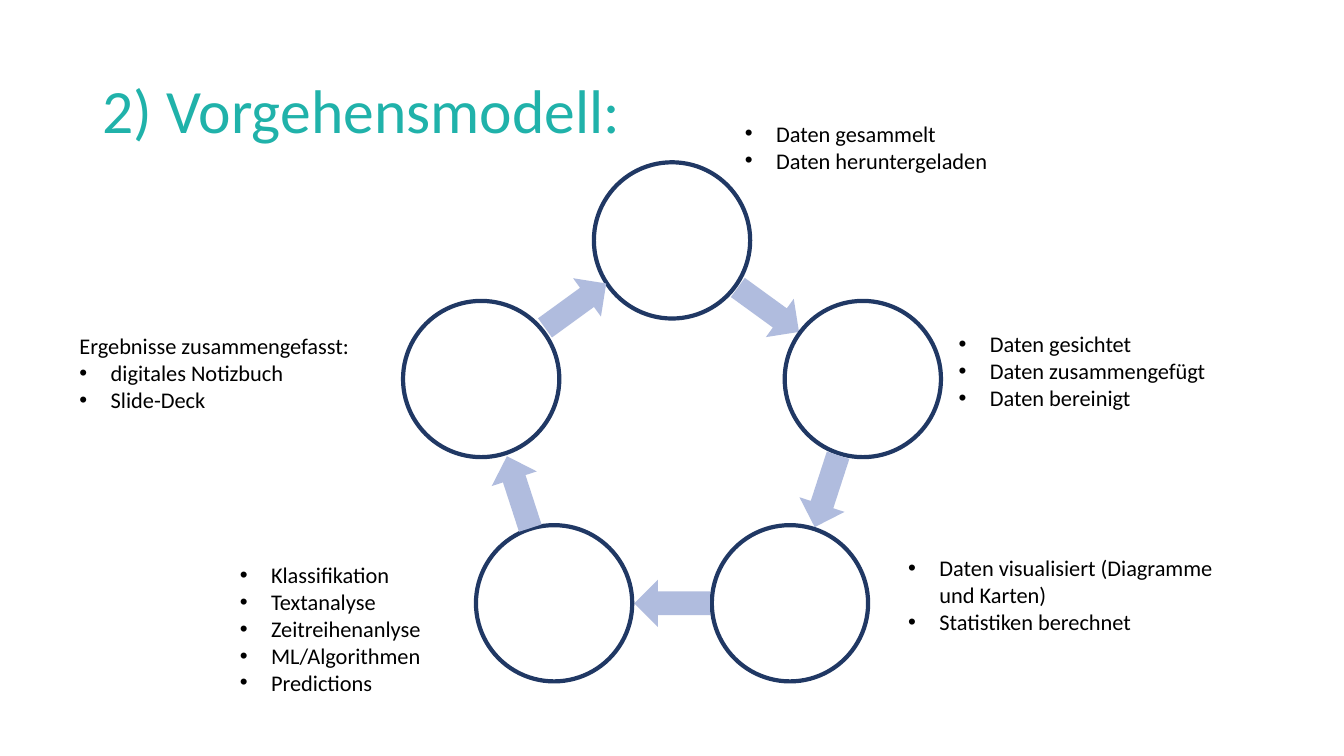
from math import cos, pi, sin

from lxml import etree
from pptx import Presentation
from pptx.dml.color import RGBColor
from pptx.enum.shapes import MSO_SHAPE
from pptx.enum.text import MSO_ANCHOR, MSO_AUTO_SIZE
from pptx.oxml.ns import qn
from pptx.util import Pt

OVAL, ARROW = MSO_SHAPE.OVAL, MSO_SHAPE.RIGHT_ARROW
TOP, MIDDLE = MSO_ANCHOR.TOP, MSO_ANCHOR.MIDDLE
GROW, FIXED = MSO_AUTO_SIZE.SHAPE_TO_FIT_TEXT, MSO_AUTO_SIZE.NONE

TITLE = "2) Vorgehensmodell:"
TITLE_BOX = (92, 40, 1150, 145)
NOTES = [
    {"box": (729, 114, 324, 64),
     "items": ["Daten gesammelt", "Daten heruntergeladen"]},
    {"box": (941, 323, 324, 94),
     "items": ["Daten gesichtet", "Daten zusammengefügt", "Daten bereinigt"]},
    {"box": (891, 545, 324, 94),
     "items": ["Daten visualisiert (Diagramme und Karten)", "Statistiken berechnet"]},
    {"box": (228, 552, 215, 145),
     "items": ["Klassifikation", "Textanalyse", "Zeitreihenanlyse",
               "ML/Algorithmen", "Predictions"]},
    {"box": (69, 325, 324, 91), "heading": "Ergebnisse zusammengefasst:",
     "items": ["digitales Notizbuch", "Slide-Deck"]},
]

SLIDE_W, SLIDE_H = 1333, 750
CYCLE_CENTER = (666.5, 437.5)
CYCLE_RADIUS = 199
CIRCLE = 155
ARROW_W, ARROW_H = 75, 47
ARROW_NUDGES = [(1, 0), (0, 0), (0, 0), (1, 1), (-1, -4)]
INDENT = 31
THEME = {
    "font": "Calibri", "title_size": 44, "body_size": 16, "line_width": 3,
    "title": "20B2AA", "text": "000000", "circle": "FFFFFF",
    "outline": "203864", "arrow": "B0BCDE",
}


def px(n):
    return round(n * 9144)


def rgb(name):
    return RGBColor.from_string(THEME[name])


def add_bullet(p):
    pPr = p._p.get_or_add_pPr()
    pPr.set("marL", str(px(INDENT)))
    pPr.set("indent", str(-px(INDENT)))
    etree.SubElement(pPr, qn("a:buFont")).set("typeface", "Arial")
    etree.SubElement(pPr, qn("a:buChar")).set("char", "•")


def add_text(slide, box, lines, size="body_size", color="text", anchor=TOP,
             fit=GROW, spacing=None, plain=0):
    tf = slide.shapes.add_textbox(*map(px, box)).text_frame
    tf.word_wrap = True
    tf.auto_size = fit
    tf.vertical_anchor = anchor
    for i, line in enumerate(lines):
        p = tf.add_paragraph() if i else tf.paragraphs[0]
        if spacing:
            p.line_spacing = spacing
        if i >= plain:
            add_bullet(p)
        r = p.add_run()
        r.text = line
        r.font.name = THEME["font"]
        r.font.size = Pt(THEME[size])
        r.font.color.rgb = rgb(color)


def add_centered(slide, kind, center, w, h, fill, outline=None, rotation=0):
    x, y = center
    sp = slide.shapes.add_shape(kind, px(x - w / 2), px(y - h / 2), px(w), px(h))
    sp.rotation = rotation
    sp.shadow.inherit = False
    sp.fill.solid()
    sp.fill.fore_color.rgb = rgb(fill)
    if outline:
        sp.line.color.rgb = rgb(outline)
        sp.line.width = Pt(THEME["line_width"])
    else:
        sp.line.fill.background()


def add_cycle(slide):
    cx, cy = CYCLE_CENTER
    count = len(NOTES)
    step = 2 * pi / count
    centers = [(cx + CYCLE_RADIUS * sin(i * step), cy - CYCLE_RADIUS * cos(i * step))
               for i in range(count)]
    for i, (x, y) in enumerate(centers):
        next_x, next_y = centers[(i + 1) % count]
        dx, dy = ARROW_NUDGES[i]
        middle = ((x + next_x) / 2 + dx, (y + next_y) / 2 + dy)
        add_centered(slide, OVAL, (x, y), CIRCLE, CIRCLE, "circle", "outline")
        add_centered(slide, ARROW, middle, ARROW_W, ARROW_H, "arrow",
                     rotation=(i + 0.5) * 360 / count)


def main():
    prs = Presentation()
    prs.slide_width, prs.slide_height = px(SLIDE_W), px(SLIDE_H)
    slide = prs.slides.add_slide(prs.slide_layouts[6])
    add_text(slide, TITLE_BOX, [TITLE], size="title_size", color="title",
             anchor=MIDDLE, fit=FIXED, spacing=0.9, plain=1)
    add_cycle(slide)
    for note in NOTES:
        heading = [note["heading"]] if "heading" in note else []
        add_text(slide, note["box"], heading + note["items"], plain=len(heading))
    prs.save("out.pptx")


if __name__ == "__main__":
    main()
